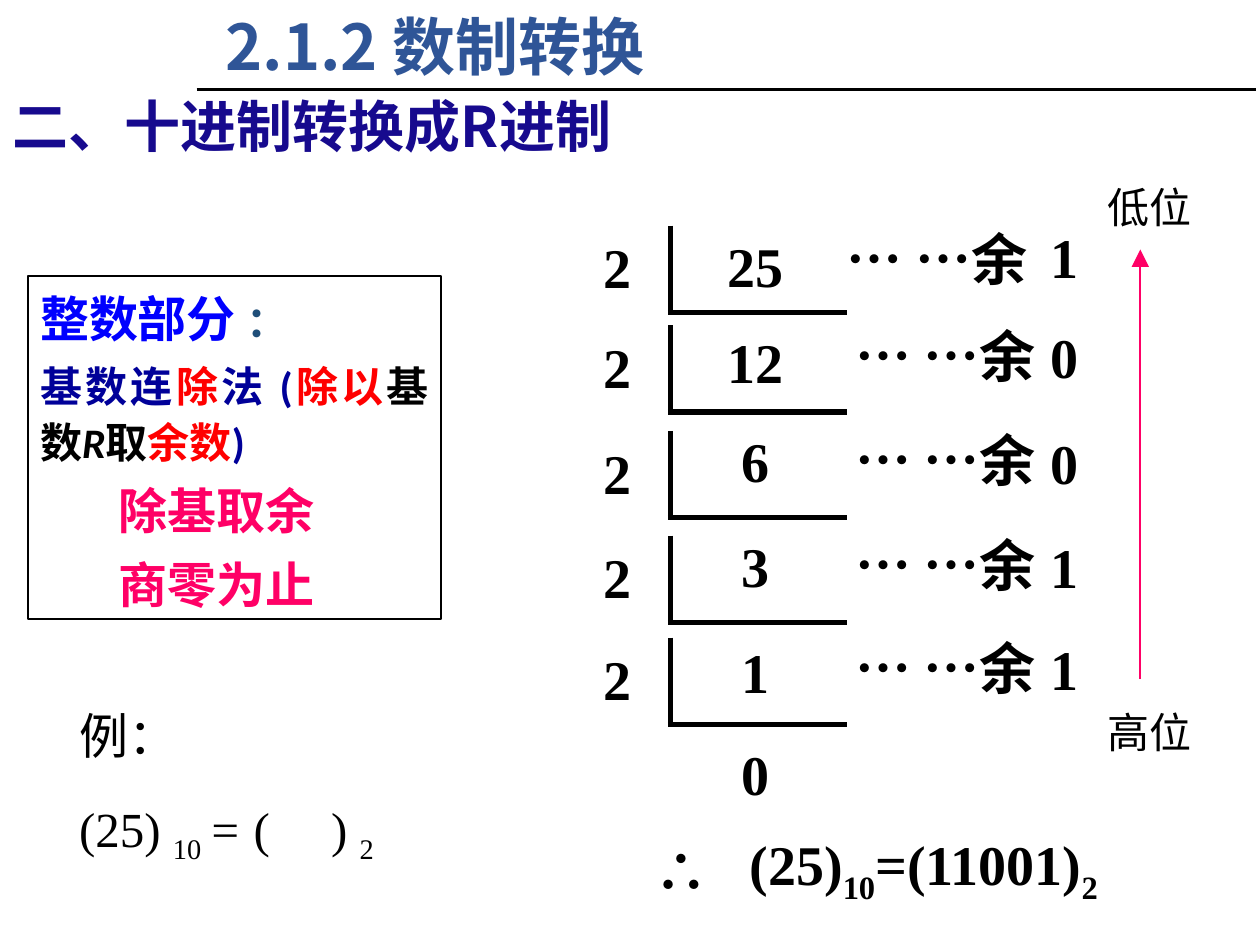
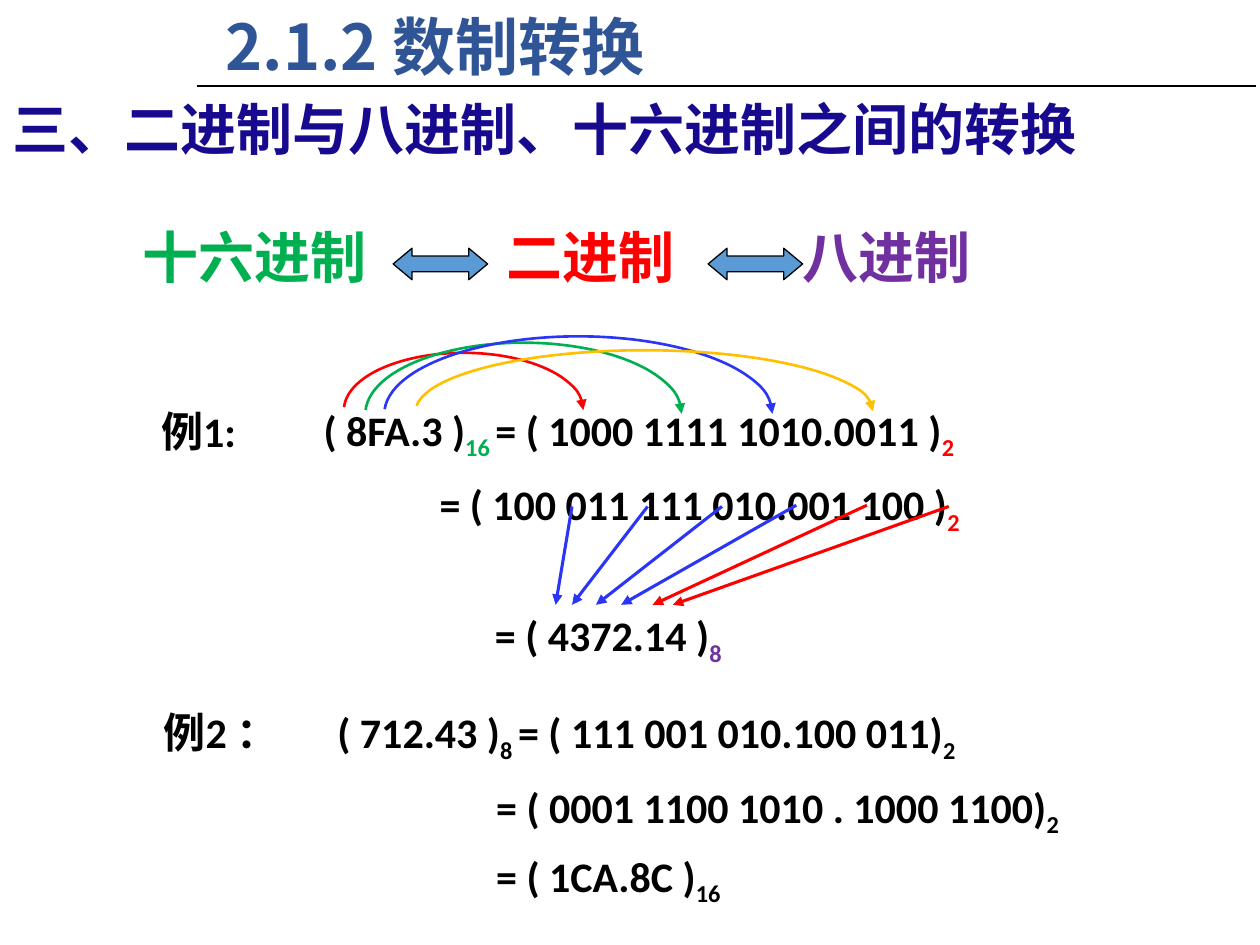
from dataclasses import dataclass
from typing import Optional

from lxml.etree import SubElement
from pptx import Presentation
from pptx.dml.color import RGBColor
from pptx.enum.shapes import MSO_CONNECTOR as CONN, MSO_SHAPE as SHAPE
from pptx.enum.text import MSO_ANCHOR as ANCHOR, PP_ALIGN as ALIGN
from pptx.oxml.ns import qn
from pptx.util import Inches, Pt

CJK, SERIF, SANS = "Noto Sans CJK SC", "Times New Roman", "Calibri"
BLACK, RED, GREEN, PURPLE = "000000", "FF0000", "00B050", "7030A0"
BLUE, PINK, NAVY, AMBER = "2B35F5", "FF0066", "000099", "FFC000"


@dataclass(frozen=True)
class Run:
    """A piece of text in one style."""
    text: str
    color: str = BLACK
    size: float = 24
    font: str = SANS
    bold: bool = True
    italic: bool = False
    sub: bool = False


@dataclass(frozen=True)
class Step:
    """One division by two."""
    top: float
    value: str
    value_top: float
    remainder: str
    dots_left: float
    dots_top: float


@dataclass(frozen=True)
class Equation:
    """One line of a conversion."""
    left: float
    top: float
    runs: tuple


@dataclass(frozen=True)
class Arc:
    """A curved arrow from a digit to its bits."""
    left: float
    top: float
    width: float
    height: float
    color: str


@dataclass(frozen=True)
class Link:
    """A straight arrow from a bit group to its digit."""
    x1: float
    y1: float
    x2: float
    color: str


STEPS = (
    Step(1.79, "25", 1.79, "1", 6.61, 1.73),
    Step(2.58, "12", 2.55, "0", 6.68, 2.5),
    Step(3.42, "6", 3.34, "0", 6.68, 3.33),
    Step(4.25, "3", 4.17, "1", 6.68, 4.16),
    Step(5.06, "1", 5.01, "1", 6.68, 4.98),
)

EQUATIONS = (
    Equation(1.18, 3.17, (Run("例1:"),)),
    Equation(2.47, 3.16, (Run("( 8FA.3 )"), Run("16 ", GREEN, sub=True),
                          Run("= ( 1000 1111 1010.0011 )"), Run("2", RED, sub=True))),
    Equation(3.39, 3.75, (Run("= ( 100 011 111 010.001 100 )"), Run("2", RED, sub=True))),
    Equation(3.83, 4.79, (Run("= ( 4372.14 )"), Run("8", PURPLE, sub=True))),
    Equation(1.2, 5.56, (Run("例2 ："),)),
    Equation(2.58, 5.56, (Run("( 712.43 )"), Run("8 ", sub=True),
                          Run("= ( 111 001 010.100 011)"), Run("2", sub=True))),
    Equation(3.84, 6.15, (Run("= ( 0001 1100 1010 . 1000 1100)"), Run("2", sub=True))),
    Equation(3.84, 6.7, (Run("= ( 1CA.8C )"), Run("16", sub=True))),
)

ARCS = (
    Arc(2.73, 2.8, 1.9, 0.91, RED),
    Arc(2.9, 2.72, 2.51, 1.13, GREEN),
    Arc(3.05, 2.67, 3.08, 1.23, BLUE),
    Arc(3.3, 2.78, 3.63, 0.97, AMBER),
)

LINKS = (
    Link(4.54, 4.02, 4.41, BLUE),
    Link(5.14, 4.02, 4.54, BLUE),
    Link(5.73, 4.02, 4.73, BLUE),
    Link(6.32, 4.01, 4.93, BLUE),
    Link(6.88, 4.01, 5.18, RED),
    Link(7.53, 4.02, 5.34, RED),
)


def rgb(color: str) -> RGBColor:
    """Turn a hex string into a colour."""
    return RGBColor.from_string(color)


def add_runs(p, runs: tuple) -> None:
    """Add styled runs to a paragraph."""
    for run in runs:
        r = p.add_run()
        r.text = run.text
        f = r.font
        f.size, f.bold, f.italic = Pt(run.size), run.bold, run.italic
        f.color.rgb = rgb(run.color)
        f.name = run.font
        rPr = r._r.get_or_add_rPr()
        SubElement(rPr, qn("a:ea")).set("typeface", CJK)
        if run.sub:
            rPr.set("baseline", "-25000")


def set_layout(p, indent: float = 0, tab: Optional[float] = None) -> None:
    """Set the left indent and tab stop of a paragraph."""
    pPr = p._p.get_or_add_pPr()
    pPr.set("marL", str(Inches(indent)))
    pPr.set("indent", "0")
    if tab is not None:
        stop = SubElement(SubElement(pPr, qn("a:tabLst")), qn("a:tab"))
        stop.set("pos", str(Inches(tab)))
        stop.set("algn", "l")


def add_text(s, left: float, top: float, width: float, height: float, *runs: Run,
             align=ALIGN.LEFT, anchor=ANCHOR.TOP, wrap: bool = True):
    """Add a text box with one paragraph and return its frame."""
    sp = s.shapes.add_textbox(Inches(left), Inches(top), Inches(width), Inches(height))
    tf = sp.text_frame
    tf.word_wrap, tf.vertical_anchor = wrap, anchor
    p = tf.paragraphs[0]
    p.alignment = align
    add_runs(p, runs)
    return tf


def add_arrowhead(sp, size: str = "med") -> None:
    """Put a triangle at the end of a line."""
    ln = sp._element.spPr.find(qn("a:ln"))
    tail = SubElement(ln, qn("a:tailEnd"))
    for name, value in (("type", "triangle"), ("w", size), ("len", size)):
        tail.set(name, value)


def add_line(s, x1: float, y1: float, x2: float, y2: float, color: str = BLACK,
             width: float = 1.25, arrow: Optional[str] = None) -> None:
    """Draw a straight line, or an arrow with a head of the given size."""
    sp = s.shapes.add_connector(CONN.STRAIGHT, *map(Inches, (x1, y1, x2, y2)))
    sp.line.color.rgb = rgb(color)
    sp.line.width = Pt(width)
    if arrow:
        add_arrowhead(sp, arrow)
    SubElement(sp._element.spPr, qn("a:effectLst"))


def add_shape(s, kind, left: float, top: float, width: float, height: float,
              line: str, weight: float, fill: Optional[str] = None):
    """Draw an outlined preset shape."""
    sp = s.shapes.add_shape(kind, *map(Inches, (left, top, width, height)))
    sp.shadow.inherit = False
    if fill:
        sp.fill.solid()
        sp.fill.fore_color.rgb = rgb(fill)
    else:
        sp.fill.background()
    sp.line.color.rgb = rgb(line)
    sp.line.width = Pt(weight)
    return sp


def add_slide(prs, heading: str, heading_top: float, width: float, rule_y: float):
    """Add a slide with the section title, rule and heading."""
    s = prs.slides.add_slide(prs.slide_layouts[6])
    add_line(s, 1.56, rule_y, 9.97, rule_y)
    add_text(s, 1.69, 0.01, 5.12, 0.71, Run("2.1.2 数制转换", "2F5597", 36, CJK))
    add_text(s, 0, heading_top, width, 0.64, Run(heading, "170A8E", 32, CJK))
    return s


def add_number(s, left: float, top: float, width: float, text: str) -> None:
    """Add a centred bold label of the division."""
    add_text(s, left, top, width, 0.63, Run(text, size=32, font=SERIF),
             align=ALIGN.CENTER, anchor=ANCHOR.MIDDLE, wrap=False)


def add_method(s) -> None:
    """Add the framed rule for the integer part."""
    tf = add_shape(s, SHAPE.RECTANGLE, 0.22, 2.19, 3.28, 2.72, BLACK, 1).text_frame
    tf.word_wrap, tf.vertical_anchor = True, ANCHOR.TOP
    rows = (
        (0, (Run("整数部分 ", "0000FF", 28), Run("：", "1F4E79"))),
        (0, (Run("基数连", NAVY), Run("除", RED), Run("法 (", NAVY), Run("除以", RED),
             Run("基数"), Run("R", italic=True), Run("取"), Run("余数", RED),
             Run(")", NAVY))),
        (0.62, (Run("除基取余", PINK, 28),)),
        (0.62, (Run("商零为止", PINK, 28),)),
    )
    for i, (indent, runs) in enumerate(rows):
        p = tf.add_paragraph() if i else tf.paragraphs[0]
        set_layout(p, indent)
        p.alignment, p.line_spacing = ALIGN.JUSTIFY, 1.1
        p.space_before = Pt(5 if i else 0)
        add_runs(p, runs)


def add_question(s) -> None:
    """Add the example to be solved."""
    def plain(text: str, **style) -> Run:
        """Make a regular serif run."""
        return Run(text, size=28, font=SERIF, bold=False, **style)

    tf = add_text(s, 0.53, 5.32, 2.83, 1.43, plain("例："))
    p = tf.add_paragraph()
    set_layout(p, tab=2)
    add_runs(p, (plain("(25) "), plain("10 ", sub=True), plain("=", italic=True),
                 plain(" (\t) "), plain("2", sub=True)))
    for p in tf.paragraphs:
        p.line_spacing = 1.5


def add_division(s) -> None:
    """Draw the repeated division and its result."""
    for step in STEPS:
        bottom = step.top + 0.69
        add_line(s, 5.32, step.top, 5.32, bottom, width=3)
        add_line(s, 5.3, bottom, 6.72, bottom, width=3)
        add_number(s, 4.69, step.top + 0.01, 0.42, "2")
        add_number(s, 5.5, step.value_top, 1, step.value)
        add_number(s, step.dots_left, step.dots_top, 1.65, "… …余")
        add_number(s, 8.24, step.top - 0.07, 0.42, step.remainder)
    add_number(s, 5.5, 5.82, 1, "0")
    add_number(s, 5.06, 6.57, 0.7, "∴")
    parts = (("(25)", False), ("10", True), ("=(11001)", False), ("2", True))
    add_text(s, 5.85, 6.57, 3.2, 0.63,
             *(Run(text, size=32, font=SERIF, sub=sub) for text, sub in parts),
             anchor=ANCHOR.MIDDLE)
    add_line(s, 9.05, 5.39, 9.05, 1.98, PINK, arrow="lg")
    for top, text in ((1.39, "低位"), (5.56, "高位")):
        add_text(s, 8.69, top, 1.01, 0.5, Run(text, font=SERIF, bold=False))


def add_systems(s) -> None:
    """Add the three number systems and the arrows between them."""
    for left, text, color in ((1.03, "十六进制", GREEN), (3.92, "二进制", RED),
                              (6.27, "八进制", PURPLE)):
        add_text(s, left, 1.72, 2.1, 0.75, Run(text, color, 32, SERIF))
    for left in (3.12, 5.62):
        sp = add_shape(s, SHAPE.LEFT_RIGHT_ARROW, left, 1.97, 0.75, 0.25,
                       BLACK, 0.75, "5B9BD5")
        sp.adjustments[0], sp.adjustments[1] = 0.5, 0.6


def add_conversions(s) -> None:
    """Add the worked examples with their arrows."""
    for eq in EQUATIONS:
        add_text(s, eq.left, eq.top, 5.8, 0.5, *eq.runs, wrap=False)
    for arc in ARCS:
        sp = add_shape(s, SHAPE.ARC, arc.left, arc.top, arc.width, arc.height,
                       arc.color, 1.5)
        sp.adjustments[0], sp.adjustments[1] = 108.83, 0
        add_arrowhead(sp)
    for link in LINKS:
        add_line(s, link.x1, link.y1, link.x2, 4.8, link.color, 1.75, "med")


def main() -> None:
    """Build both slides and save them."""
    prs = Presentation()
    prs.slide_width, prs.slide_height = Inches(10), Inches(7.5)
    s = add_slide(prs, "二、十进制转换成R进制", 0.68, 6.91, 0.71)
    add_method(s)
    add_question(s)
    add_division(s)
    s = add_slide(prs, "三、二进制与八进制、十六进制之间的转换", 0.7, 9.4, 0.68)
    add_systems(s)
    add_conversions(s)
    prs.save("out.pptx")


if __name__ == "__main__":
    main()
